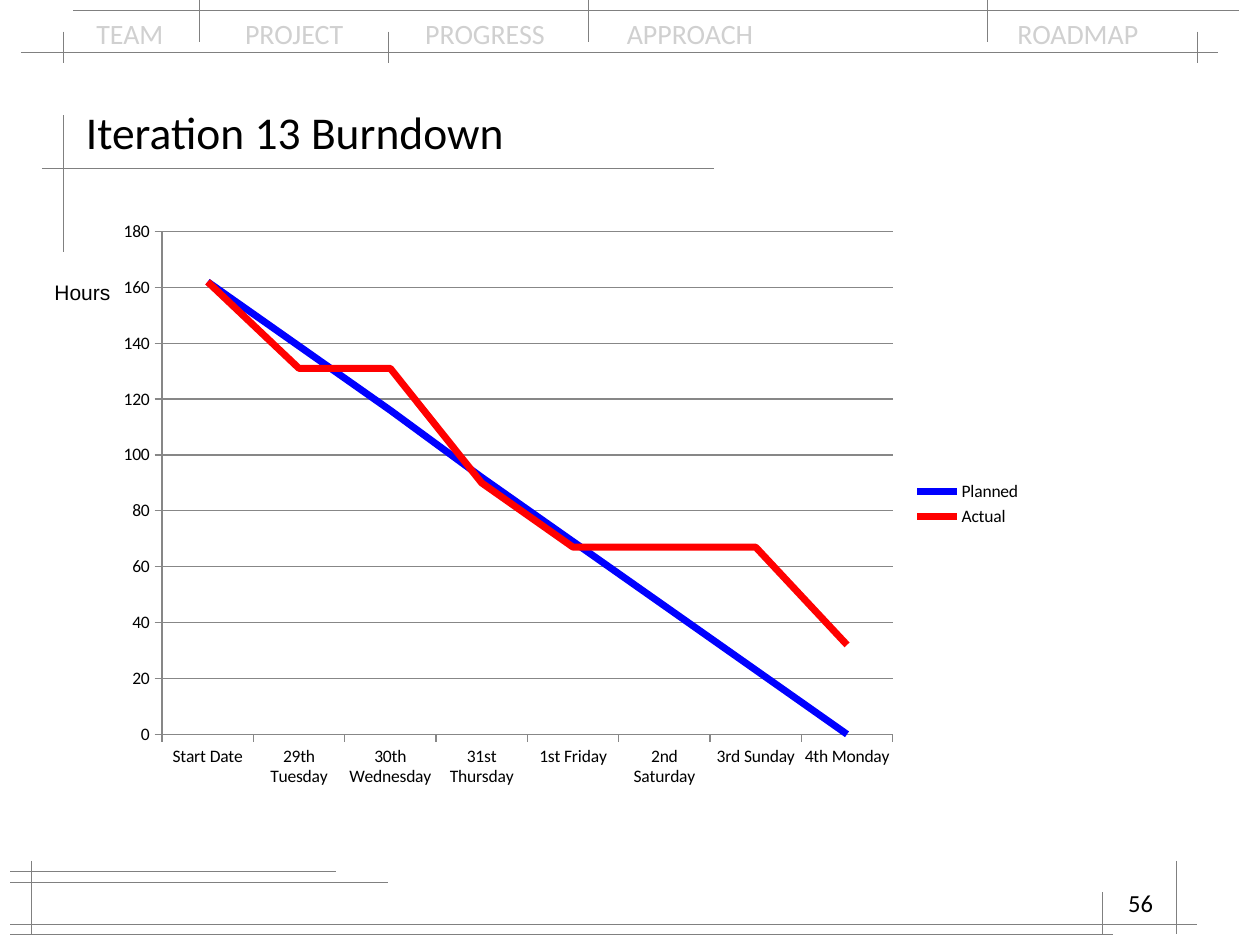
from lxml import etree
from pptx import Presentation
from pptx.chart.data import CategoryChartData
from pptx.dml.color import RGBColor
from pptx.enum.chart import XL_CHART_TYPE, XL_LEGEND_POSITION, XL_MARKER_STYLE, XL_TICK_MARK
from pptx.enum.shapes import MSO_CONNECTOR
from pptx.enum.text import MSO_ANCHOR, PP_ALIGN
from pptx.oxml.ns import qn
from pptx.util import Inches, Pt

LINE_CHART = XL_CHART_TYPE.LINE
LEGEND_RIGHT = XL_LEGEND_POSITION.RIGHT
NO_MARKER = XL_MARKER_STYLE.NONE
TICK_OUT = XL_TICK_MARK.OUTSIDE
STRAIGHT = MSO_CONNECTOR.STRAIGHT
TOP, MIDDLE = MSO_ANCHOR.TOP, MSO_ANCHOR.MIDDLE
LEFT, RIGHT = PP_ALIGN.LEFT, PP_ALIGN.RIGHT

CELLS_PER_INCH = 12
COLUMNS, ROWS = 120, 90
BLACK, GREY, PALE, AXIS_GREY = "000000", "808080", "D0D0D0", "878787"

HORIZONTAL_RULES = [
    (2, 116, 5), (7, 118, 1), (4, 68, 16), (1, 37, 84),
    (1, 114, 88), (1, 32, 83), (1, 106, 89),
]
VERTICAL_RULES = [
    (6, 11, 24), (3, 82, 89), (112, 82, 89), (105, 85, 89), (6, 3, 6),
    (37, 3, 6), (114, 3, 6), (19, -3, 4), (56, -3, 4), (94, -3, 4),
]
SECTIONS = ["TEAM", "PROJECT", "PROGRESS", "APPROACH", "ROADMAP"]
SECTION_TABS = [1.18, 2.61, 4.21, 7.31]
DAYS = [
    "Start Date", "29th Tuesday", "30th Wednesday", "31st Thursday",
    "1st Friday", "2nd Saturday", "3rd Sunday", "4th Monday",
]
BURNDOWN = [
    ("Planned", "0000FF", [162, 139, 116, 92, 69, 46, 23, 0]),
    ("Actual", "FF0000", [162, 131, 131, 90, 67, 67, 67, 32]),
]


def cells(count):
    return Inches(count / CELLS_PER_INCH)


def color(value):
    return RGBColor.from_string(value)


def add_text(page, text, place, size, font="Calibri", fill=BLACK,
             align=LEFT, anchor=TOP, wrap=True, tabs=()):
    box = page.shapes.add_textbox(*map(cells, place))
    frame = box.text_frame
    frame.word_wrap = wrap
    frame.vertical_anchor = anchor
    para = frame.paragraphs[0]
    para.alignment = align
    if tabs:
        tab_list = etree.SubElement(para._p.get_or_add_pPr(), qn("a:tabLst"))
        for stop in tabs:
            etree.SubElement(tab_list, qn("a:tab"), pos=str(Inches(stop)), algn="l")
    span = para.add_run()
    span.text = text
    span.font.name = font
    span.font.size = Pt(size)
    span.font.color.rgb = color(fill)


def add_rule(page, *ends):
    rule = page.shapes.add_connector(STRAIGHT, *map(cells, ends))
    rule.line.color.rgb = color(GREY)
    rule.line.width = Pt(0.3)
    etree.SubElement(rule._element.spPr, qn("a:effectLst"))


def style_line(line, fill, width):
    line.color.rgb = color(fill)
    line.width = Pt(width)


def add_burndown(page, place):
    data = CategoryChartData()
    data.categories = DAYS
    for name, _, hours in BURNDOWN:
        data.add_series(name, hours)
    chart = page.shapes.add_chart(LINE_CHART, *map(cells, place), data).chart
    chart.has_title = False
    chart.font.name = "Calibri"
    chart.font.size = Pt(10)
    chart.font.color.rgb = color(BLACK)
    chart.has_legend = True
    chart.legend.position = LEGEND_RIGHT
    chart.legend.include_in_layout = False
    chart.plots[0].vary_by_categories = False

    for axis in (chart.category_axis, chart.value_axis):
        axis.major_tick_mark = TICK_OUT
        style_line(axis.format.line, AXIS_GREY, 0.75)
    hours_axis = chart.value_axis
    hours_axis.minimum_scale, hours_axis.maximum_scale = 0, 180
    hours_axis.major_unit = 20
    hours_axis.has_major_gridlines = True
    style_line(hours_axis.major_gridlines.format.line, AXIS_GREY, 0.75)
    hours_axis.tick_labels.number_format = "0"
    hours_axis.tick_labels.number_format_is_linked = False

    for series, (_, fill, _) in zip(chart.plots[0].series, BURNDOWN):
        series.smooth = False
        series.marker.style = NO_MARKER
        style_line(series.format.line, fill, 4)


def main():
    deck = Presentation()
    deck.slide_width, deck.slide_height = cells(COLUMNS), cells(ROWS)
    page = deck.slides.add_slide(deck.slide_layouts[6])
    add_text(page, "\t".join(SECTIONS), (8, 1, 104, 4.4), 16,
             fill=PALE, tabs=SECTION_TABS)
    for start, end, row in HORIZONTAL_RULES:
        add_rule(page, start, row, end, row)
    for column, start, end in VERTICAL_RULES:
        add_rule(page, column, start, column, end)
    add_text(page, "Iteration 13 Burndown", (7, 9, 106, 7), 26, anchor=MIDDLE)
    add_text(page, "56", (86, 84, 25, 6), 14, align=RIGHT)
    add_burndown(page, (10, 20, 88.5, 56))
    add_text(page, "Hours", (4, 26, 7.8, 3.6), 12, font="Arial", wrap=False)
    deck.save("out.pptx")


if __name__ == "__main__":
    main()
